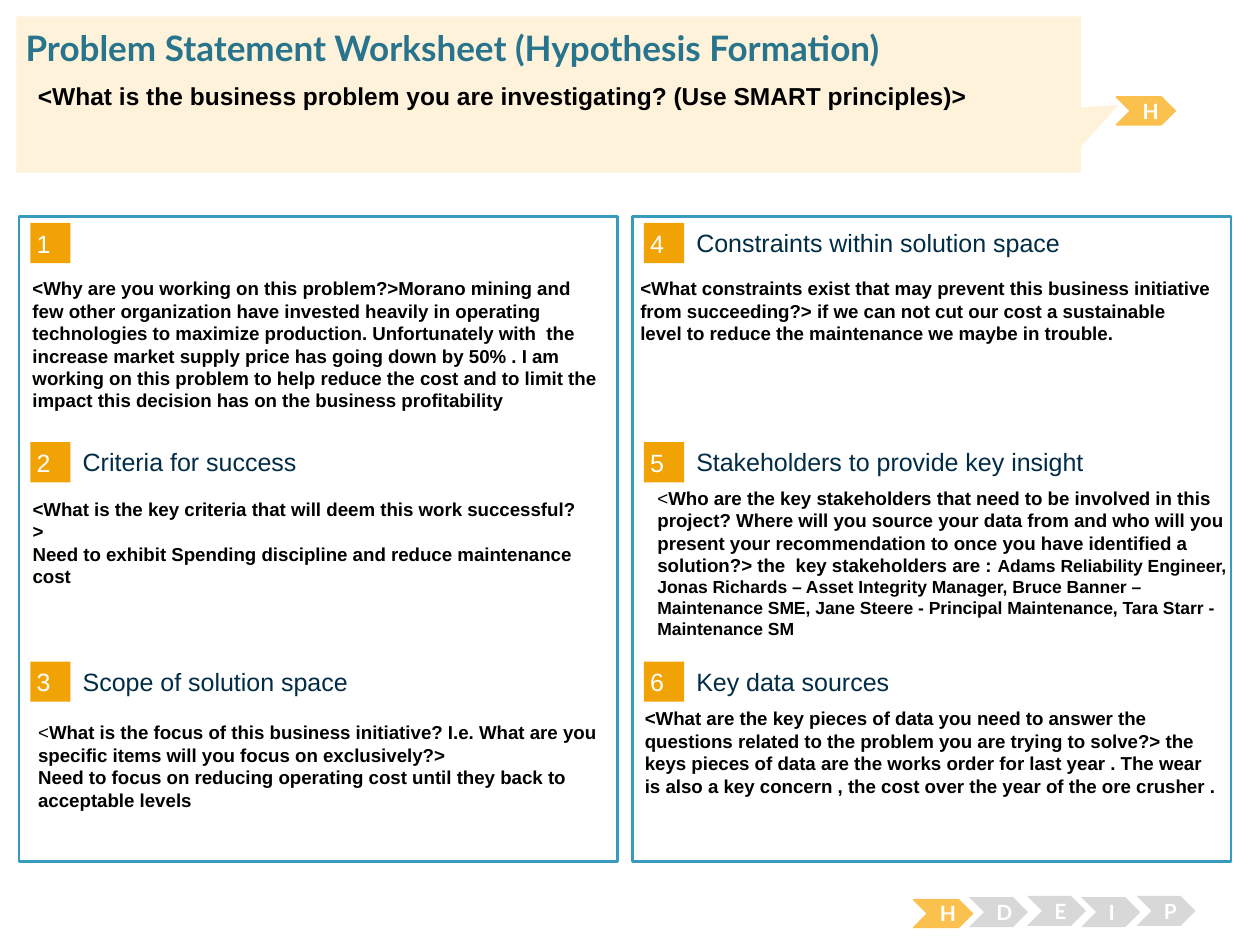
import pptx
import pptx.dml.color
import pptx.enum.shapes
import pptx.enum.text
import pptx.util

Pt = pptx.util.Pt
RGB = pptx.dml.color.RGBColor
SHAPE = pptx.enum.shapes.MSO_SHAPE
ANCHOR = pptx.enum.text.MSO_ANCHOR
ALIGN = pptx.enum.text.PP_ALIGN

WHITE = RGB(0xFF, 0xFF, 0xFF)
BLACK = RGB(0x00, 0x00, 0x00)
TEAL = RGB(0x29, 0x74, 0x8D)
PANEL_BLUE = RGB(0x37, 0x9B, 0xBD)
NAVY = RGB(0x00, 0x2C, 0x46)
ORANGE = RGB(0xF1, 0xA2, 0x05)
AMBER = RGB(0xFB, 0xC1, 0x4E)
GREY = RGB(0xD8, 0xD8, 0xD8)
CREAM = RGB(0xFE, 0xF2, 0xDA)

presentation = pptx.Presentation()
presentation.slide_width = Pt(720)
presentation.slide_height = Pt(540)
slide = presentation.slides.add_slide(presentation.slide_layouts[6])


def add_block(kind, box, fill, outline=None, weight=0.75):
    block = slide.shapes.add_shape(kind, *[Pt(length) for length in box])
    block.shadow.inherit = False
    block.fill.solid()
    block.fill.fore_color.rgb = fill
    if outline is None:
        block.line.fill.background()
    else:
        block.line.color.rgb = outline
        block.line.width = Pt(weight)
    return block


def write(holder, paragraphs, size, color, font="Arial", bold=False,
          insets=(7.2, 3.6), anchor=ANCHOR.TOP, align=ALIGN.LEFT):
    """Fill a shape; each paragraph is a list of (text, run font overrides)."""
    frame = holder.text_frame
    frame.word_wrap = True
    frame.vertical_anchor = anchor
    frame.margin_left = frame.margin_right = Pt(insets[0])
    frame.margin_top = frame.margin_bottom = Pt(insets[1])
    for index, runs in enumerate(paragraphs):
        paragraph = frame.add_paragraph() if index else frame.paragraphs[0]
        paragraph.alignment = align
        paragraph.font.name = font
        paragraph.font.size = Pt(size)
        paragraph.font.bold = bold
        paragraph.font.color.rgb = color
        for text, overrides in runs:
            run = paragraph.add_run()
            run.text = text
            for attribute, value in overrides.items():
                setattr(run.font, attribute, value)


# Two panels, each with three numbered sections
COLUMN_STEP = 350.6
ROW_STEP = 125.3
for column in range(2):
    add_block(SHAPE.RECTANGLE, (10.8 + column * COLUMN_STEP, 123.8, 342, 368.6),
              WHITE, PANEL_BLUE, 1.5)

LIGHT = {"bold": False}
SMALL = {"size": Pt(10)}
# (heading, body box, body paragraphs), numbered down the columns
sections = [
    (None, (11.5, 154.8, 340.6, 98), [[(
        "<Why are you working on this problem?>Morano mining and few other "
        "organization have invested heavily in operating technologies to maximize "
        "production. Unfortunately with  the increase market supply price has going "
        "down by 50% . I am working on this problem to help reduce the cost and to "
        "limit the impact this decision has on the business profitability", {})]]),
    ("Criteria for success", (11.5, 280.8, 329.8, 97), [
        [("<What is the key criteria that will deem this work successful?>", {})],
        [("Need to exhibit Spending discipline and reduce maintenance cost", {})]]),
    ("Scope of solution space", (14.7, 408.6, 340.6, 59), [
        [("<", LIGHT),
         ("What is the focus of this business initiative? I.e. What are you specific "
          "items will you focus on exclusively?>", {})],
        [("Need to focus on reducing operating cost until they back to acceptable "
          "levels", {})]]),
    ("Constraints within solution space", (358.8, 154.8, 340.6, 85), [[(
        "<What constraints exist that may prevent this business initiative from "
        "succeeding?> if we can not cut our cost a sustainable level to reduce the "
        "maintenance we maybe in trouble.", {})]]),
    ("Stakeholders to provide key insight", (368.6, 274.5, 340.6, 85), [[
        ("<", LIGHT),
        ("Who are the key stakeholders that need to be involved in this project? "
         "Where will you source your data from and who will you present your "
         "recommendation to once you have identified a solution?> the  key "
         "stakeholders are : ", {}),
        ("Adams Reliability Engineer, Jonas Richards – Asset Integrity Manager, "
         "Bruce Banner – Maintenance SME, Jane Steere - Principal Maintenance, "
         "Tara Starr - Maintenance SM", SMALL)]]),
    ("Key data sources", (361.4, 400.6, 340.6, 85), [[(
        "<What are the key pieces of data you need to answer the questions related "
        "to the problem you are trying to solve?> the keys pieces of data are the "
        "works order for last year . The wear is also a key concern , the cost over "
        "the year of the ore crusher .", {})]]),
]
for index, (heading, body_box, body) in enumerate(sections):
    column, row = divmod(index, 3)
    left = 17.3 + column * COLUMN_STEP
    top = 127.4 + row * ROW_STEP
    badge = add_block(SHAPE.RECTANGLE, (left, top, 23, 23), ORANGE)
    write(badge, [[(str(index + 1), {})]], 14.3, WHITE,
          insets=(3.6, 3.6), anchor=ANCHOR.MIDDLE)
    if heading:
        heading_box = slide.shapes.add_textbox(Pt(left + 30), Pt(top + 2.2), Pt(283), Pt(18))
        write(heading_box, [[(heading, {})]], 14.3, NAVY,
              insets=(0, 0), anchor=ANCHOR.MIDDLE)
    body_text = slide.shapes.add_textbox(*[Pt(length) for length in body_box])
    write(body_text, body, 10.7, BLACK, bold=True)

# Stage markers: the active stage is amber
stages = [
    ("H", 522, 514.1, True),
    ("D", 553.7, 512.6, False),
    ("E", 586.8, 511.9, False),
    ("I", 617.8, 512.6, False),
    ("P", 649.4, 511.9, False),
    ("H", 637.9, 55.4, True),
]
for letter, left, top, active in stages:
    stage = add_block(SHAPE.CHEVRON, (left, top, 33.8, 16 if active else 17.2),
                      AMBER if active else GREY, AMBER if active else None)
    write(stage, [[(letter, {})]], 12, WHITE, "Lato", True,
          anchor=ANCHOR.MIDDLE, align=ALIGN.CENTER)

# Problem statement callout
callout = add_block(SHAPE.RECTANGULAR_CALLOUT, (9.4, 9.4, 608.4, 89.3), CREAM)
callout.adjustments[0] = 0.535
callout.adjustments[1] = 0.066

title = slide.shapes.add_textbox(Pt(14.6), Pt(15.1), Pt(692.6), Pt(24.5))
write(title, [[("Problem Statement Worksheet (Hypothesis Formation)", {})]],
      20, TEAL, "Lato", True, insets=(0, 0))

question = slide.shapes.add_textbox(Pt(14.6), Pt(42.5), Pt(676), Pt(39))
write(question, [[("<What is the business problem you are investigating? "
                   "(Use SMART principles)>", {})]], 14, BLACK, bold=True)

presentation.save("out.pptx")
